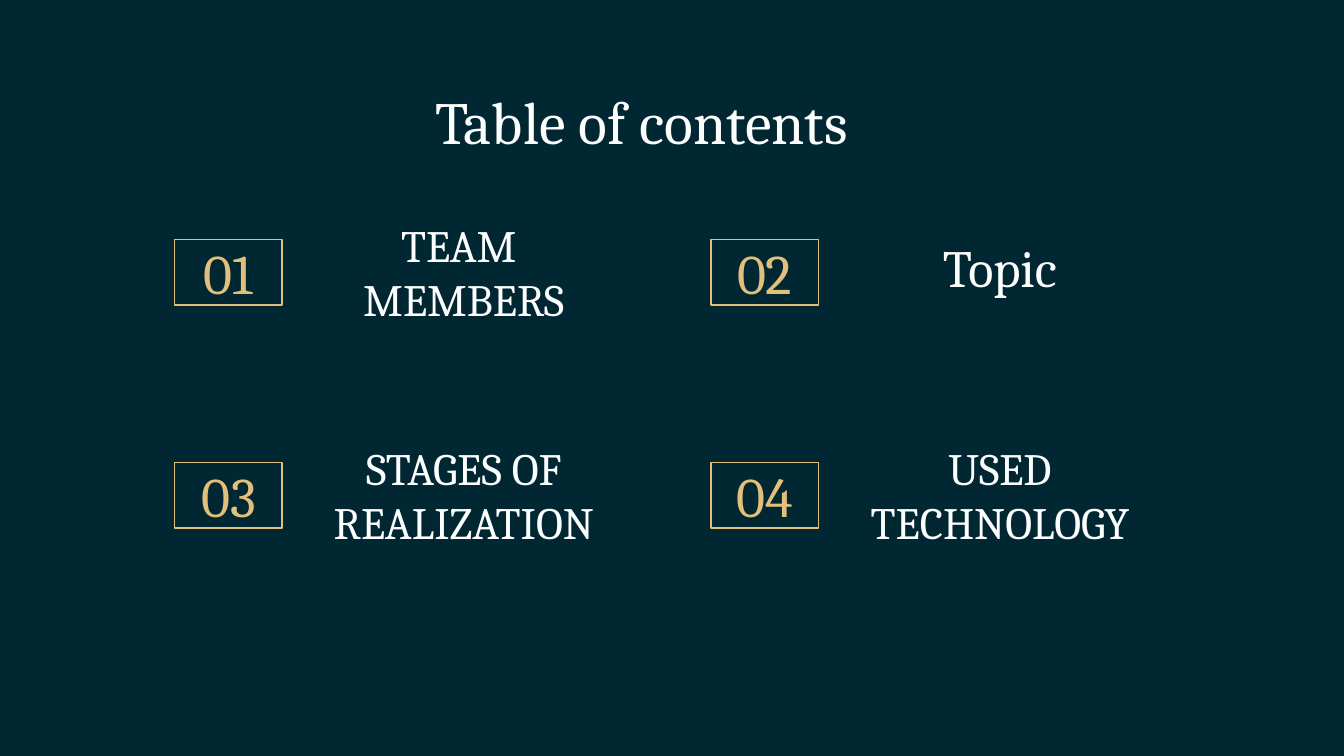
from dataclasses import dataclass

from pptx import Presentation
from pptx.dml.color import RGBColor as Rgb
from pptx.enum.shapes import MSO_SHAPE as Shape
from pptx.enum.text import MSO_ANCHOR as Anchor, PP_ALIGN as Align
from pptx.util import Pt

PX = 4572


@dataclass(frozen=True)
class Theme:
    """Colours and type sizes of the slide."""
    back: Rgb = Rgb(0x01, 0x27, 0x32)
    light: Rgb = Rgb(0xFC, 0xFD, 0xFD)
    gold: Rgb = Rgb(0xE2, 0xC0, 0x7C)
    font: str = "Cambria"
    title: int = 32
    number: int = 30
    topic: int = 28
    label: int = 24
    line: float = 0.75


THEME = Theme()


def scale(*box):
    """Turn px lengths into EMU."""
    return [side * PX for side in box]


def write(shape, text, size, color, anchor, align):
    """Fill a shape with styled text."""
    frame = shape.text_frame
    frame.word_wrap = True
    frame.vertical_anchor = anchor
    frame.margin_left = frame.margin_right = 20 * PX
    frame.margin_top = frame.margin_bottom = 20 * PX
    frame.text = text
    for para in frame.paragraphs:
        para.alignment = align
        for run in para.runs:
            run.font.name = THEME.font
            run.font.size = Pt(size)
            run.font.color.rgb = color


def add_title(slide, left, top, width, height):
    """Place the slide title in its box."""
    box = slide.shapes.add_textbox(*scale(left, top, width, height))
    write(box, "Table of contents", THEME.title, THEME.light,
          Anchor.TOP, Align.LEFT)


def add_entry(slide, left, top, number, text, size, lift):
    """Place a framed number and the label beside it."""
    frame = slide.shapes.add_shape(Shape.RECTANGLE,
                                   *scale(left, top, 160, 98))
    frame.shadow.inherit = False
    frame.fill.background()
    frame.line.color.rgb = THEME.gold
    frame.line.width = Pt(THEME.line)
    write(frame, number, THEME.number, THEME.gold,
          Anchor.MIDDLE, Align.CENTER)
    label = slide.shapes.add_textbox(*scale(left + 178, top - lift, 504, 178))
    write(label, text, size, THEME.light, Anchor.BOTTOM, Align.CENTER)


def add_grid(slide, left, top, step_x, step_y):
    """Place the entries in two columns."""
    items = [
        ("TEAM \nMEMBERS", THEME.label, 30),
        ("Topic", THEME.topic, 70),
        ("STAGES OF REALIZATION", THEME.label, 30),
        ("USED TECHNOLOGY", THEME.label, 30),
    ]
    for index, (text, size, lift) in enumerate(items):
        row, col = divmod(index, 2)
        add_entry(slide, left + col * step_x, top + row * step_y,
                  f"{index + 1:02}", text, size, lift)


def main():
    """Build and save the slide."""
    deck = Presentation()
    deck.slide_width, deck.slide_height = scale(2000, 1125)
    slide = deck.slides.add_slide(deck.slide_layouts[6])
    slide.background.fill.solid()
    slide.background.fill.fore_color.rgb = THEME.back
    add_title(slide, 628, 106, 744, 126)
    add_grid(slide, 260, 356, 798, 332)
    deck.save("out.pptx")


if __name__ == "__main__":
    main()
